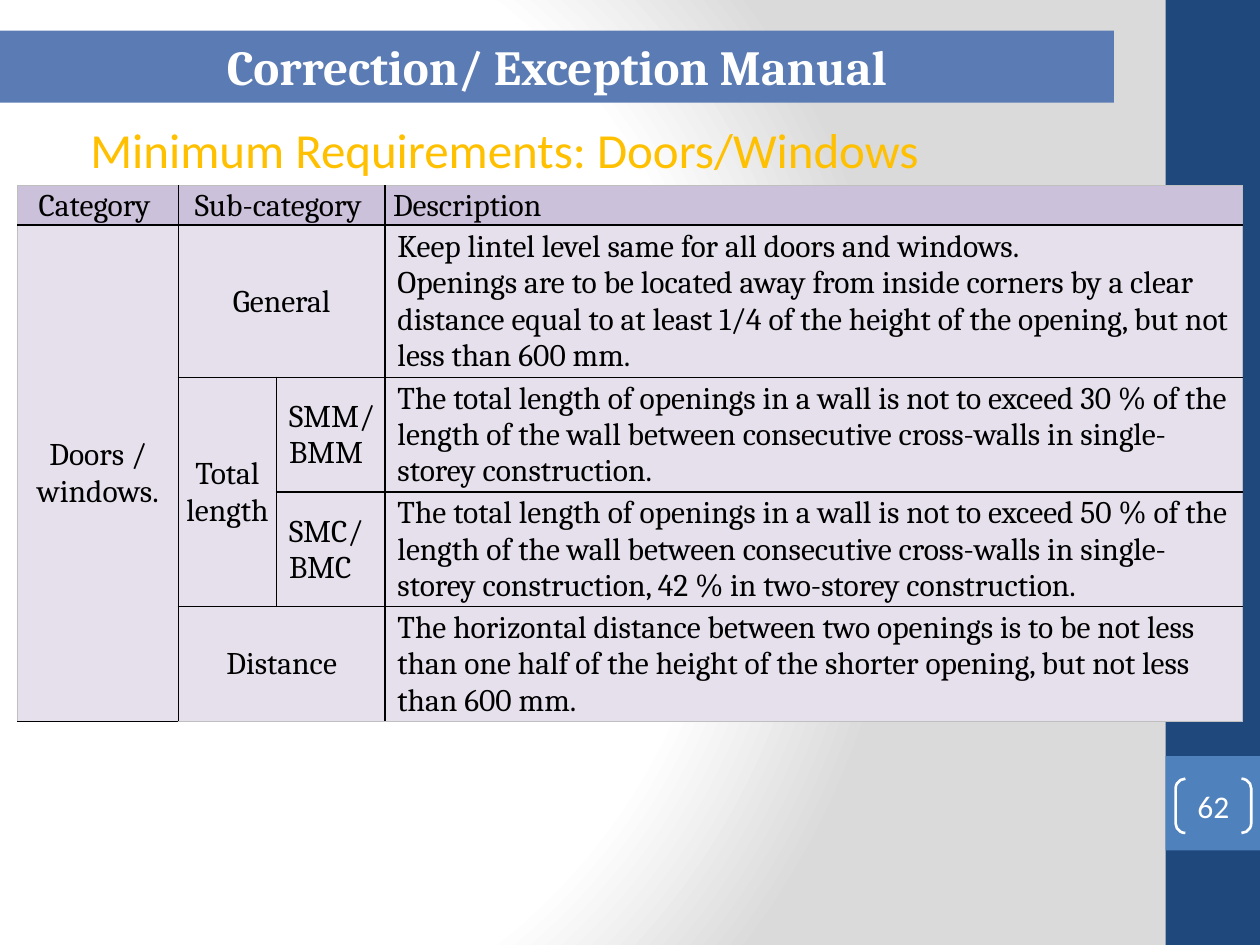
from lxml import etree
from pptx import Presentation
from pptx.dml.color import RGBColor
from pptx.enum.shapes import MSO_SHAPE
from pptx.enum.text import MSO_ANCHOR, PP_ALIGN
from pptx.oxml import parse_xml
from pptx.oxml.ns import nsdecls, qn
from pptx.util import Pt

RECT, PAIR = MSO_SHAPE.RECTANGLE, MSO_SHAPE.DOUBLE_BRACKET
MID, TOP = MSO_ANCHOR.MIDDLE, MSO_ANCHOR.TOP
LEFT, MIDDLE = PP_ALIGN.LEFT, PP_ALIGN.CENTER
WHITE, BLACK, EDGE = "FFFFFF", "000000", "BFBFBF"
HEAD, BODY = "CCC1DA", "E6E0EC"


def color(code):
    return RGBColor.from_string(code)


def write(frame, text, size=18, font="Cambria", ink=BLACK, bold=False,
          align=LEFT, anchor=MID, indent=0):
    """Fill a text frame; each newline becomes a line break."""
    frame.word_wrap = True
    frame.vertical_anchor = anchor
    para = frame.paragraphs[0]
    para.alignment = align
    if indent:
        props = para._p.get_or_add_pPr()
        props.set("marL", str(Pt(indent)))
        props.set("indent", "0")
    for num, line in enumerate(text.split("\n")):
        if num:
            para.add_line_break()
        run = para.add_run()
        run.text = line
        run.font.size = Pt(size)
        run.font.name = font
        run.font.bold = bold
        run.font.color.rgb = color(ink)


class Deck:
    def __init__(self, wide, high):
        self.show = Presentation()
        self.show.slide_width, self.show.slide_height = Pt(wide), Pt(high)
        self.slide = self.show.slides.add_slide(self.show.slide_layouts[6])

    def back(self, stops, rect):
        """Set a round gradient as the background."""
        marks = "".join(
            f'<a:gs pos="{pos * 1000}"><a:srgbClr val="{code}"/></a:gs>'
            for pos, code in stops)
        sides = " ".join(f'{side}="{val * 1000}"' for side, val in zip("ltrb", rect))
        self.slide._element.cSld.insert(0, parse_xml(
            f'<p:bg {nsdecls("p", "a")}><p:bgPr><a:gradFill rotWithShape="1">'
            f'<a:gsLst>{marks}</a:gsLst><a:path path="circle">'
            f'<a:fillToRect {sides}/></a:path></a:gradFill>'
            '<a:effectLst/></p:bgPr></p:bg>'))

    def shape(self, kind, box, fill=None, line=None):
        item = self.slide.shapes.add_shape(kind, *map(Pt, box))
        item.shadow.inherit = False
        if fill:
            item.fill.solid()
            item.fill.fore_color.rgb = color(fill)
        else:
            item.fill.background()
        if line:
            item.line.color.rgb = color(line)
            item.line.width = Pt(1.5)
        else:
            item.line.fill.background()
        return item

    def label(self, box, text, **style):
        item = self.slide.shapes.add_textbox(*map(Pt, box))
        write(item.text_frame, text, **style)

    def border(self, cell, tag, code, width):
        props = cell._tc.get_or_add_tcPr()
        line = etree.SubElement(props, qn("a:" + tag), w=str(Pt(width)))
        fill = etree.SubElement(line, qn("a:solidFill"))
        etree.SubElement(fill, qn("a:srgbClr"), val=code)

    def table(self, left, top, cols, rows, spans, texts):
        frame = self.slide.shapes.add_table(
            len(rows), len(cols), Pt(left), Pt(top), Pt(sum(cols)), Pt(sum(rows)))
        grid = frame.table
        for part, size in zip(grid.columns, cols):
            part.width = Pt(size)
        for part, size in zip(grid.rows, rows):
            part.height = Pt(size)
        for row, col, down, over in spans:
            grid.cell(row, col).merge(grid.cell(row + down - 1, col + over - 1))

        last, end = len(rows) - 1, len(cols) - 1
        for row in range(len(rows)):
            for col in range(len(cols)):
                cell = grid.cell(row, col)
                rims = {"lnL": col == 0, "lnR": col == end,
                        "lnT": row == 0, "lnB": row == last}
                for tag, outer in rims.items():
                    self.border(cell, tag, *((EDGE, 0.5) if outer else (BLACK, 1)))
                cell.fill.solid()
                cell.fill.fore_color.rgb = color(BODY if row else HEAD)
                cell.margin_left = cell.margin_right = cell.margin_top = Pt(0.7)
                cell.margin_bottom = 0
                cell.vertical_anchor = MID
        for (row, col), (text, style) in texts.items():
            write(grid.cell(row, col).text_frame, text, **style)


deck = Deck(720, 540)

# Background and side band
deck.back([(0, WHITE), (75, WHITE), (100, "DADADA")], (20, 50, 100, 50))
deck.shape(RECT, (666, 0, 54, 540), fill="1F497D")
deck.shape(RECT, (666, 432, 54, 54), fill="4F81BD")

# Page number
page = deck.shape(PAIR, (671.8, 445, 43.2, 31), line=WHITE)
page.adjustments[0] = 0.18
area = page.text_frame
area.margin_left = area.margin_right = area.margin_top = area.margin_bottom = 0
write(area, "62", font="Calibri", ink=WHITE, align=MIDDLE)

# Title and subtitle
title = deck.shape(RECT, (0, 17.5, 636.5, 41.2), fill="5B7BB4")
write(title.text_frame, "Correction/ Exception Manual", size=28, ink=WHITE,
      bold=True, align=MIDDLE, anchor=TOP)
deck.label((44.6, 72, 504.7, 26.6), "Minimum Requirements: Doors/Windows",
           size=28, font="Calibri", ink="FFC000")

# Table of requirements
mid, flat, inner = {"align": MIDDLE}, {}, {"indent": 6.5}
wall = "The total length of openings in a wall is not to exceed {} of the length " \
       "of the wall between consecutive cross-walls in single-storey construction{}."
texts = {
    (0, 0): ("Category ", mid),
    (0, 1): ("Sub-category ", mid),
    (0, 3): (" Description", flat),
    (1, 0): ("Doors / windows.", mid),
    (1, 1): ("General", mid),
    (1, 3): ("Keep lintel level same for all doors and windows. \n"
             "Openings are to be located away from inside corners by a clear "
             "distance equal to at least 1/4 of the height of the opening, "
             "but not less than 600 mm.", inner),
    (2, 1): ("Total length", mid),
    (2, 2): ("SMM/BMM", inner),
    (2, 3): (wall.format("30 %", ""), inner),
    (3, 2): ("SMC/BMC", inner),
    (3, 3): (wall.format("50 %", ", 42 % in two-storey construction"), inner),
    (4, 1): ("Distance", mid),
    (4, 3): ("The horizontal distance between two openings is to be not less than "
             "one half of the height of the shorter opening, but not less than "
             "600 mm.", inner),
}
spans = [(0, 1, 1, 2), (1, 0, 4, 1), (1, 1, 1, 2), (2, 1, 2, 1), (4, 1, 1, 2)]
deck.table(10, 106, [92, 56, 62, 490], [22.6, 87] + [65.3] * 3, spans, texts)

deck.show.save("out.pptx")
